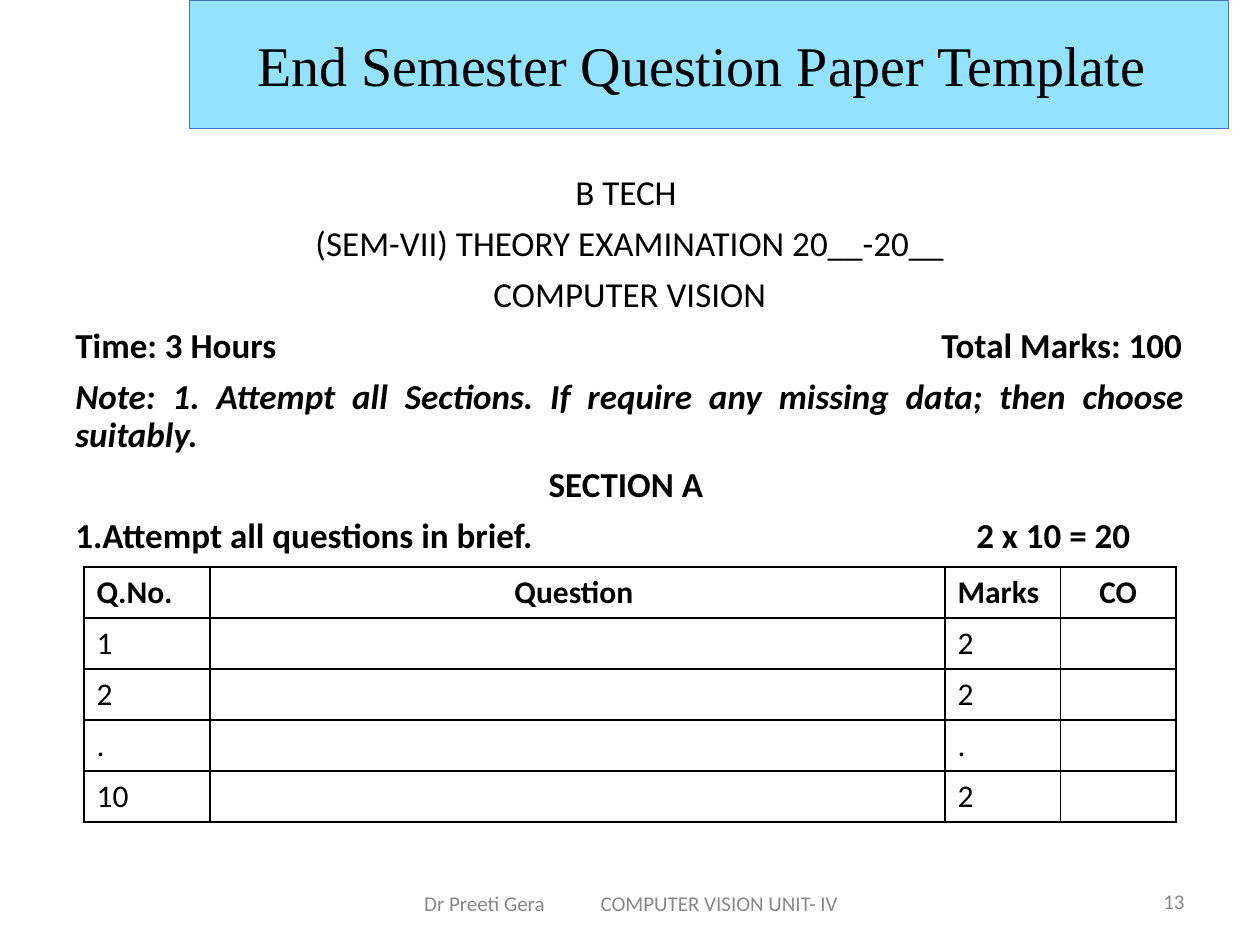
import pptx
import pptx.util
import pptx.dml.color
import pptx.enum.shapes
import pptx.enum.text
import pptx.oxml
import pptx.oxml.ns

RGBColor = pptx.dml.color.RGBColor
ALIGN = pptx.enum.text.PP_ALIGN
MIDDLE = pptx.enum.text.MSO_ANCHOR.MIDDLE
BLACK = RGBColor(0x00, 0x00, 0x00)
WHITE = RGBColor(0xFF, 0xFF, 0xFF)
GREY = RGBColor(0x88, 0x88, 0x88)
SKY = RGBColor(0x93, 0xE2, 0xFF)
BLUE = RGBColor(0x44, 0x72, 0xC4)

COLUMNS, ROWS = 120, 90
NAMESPACE = pptx.oxml.ns.nsdecls("a")


class QuestionPaper:
    body = {"name": "Calibri", "size": pptx.util.Pt(20)}
    cell = {"name": "Calibri", "size": pptx.util.Pt(18)}
    footer = {"name": "Calibri", "size": pptx.util.Pt(12)}
    heading = {"name": "Times New Roman", "size": pptx.util.Pt(32)}

    def __init__(self, presentation):
        self.slide = presentation.slides.add_slide(presentation.slide_layouts[6])
        self.column = presentation.slide_width / COLUMNS
        self.row = presentation.slide_height / ROWS

    def place(self, left, top, width, height):
        return (round(left * self.column), round(top * self.row),
                round(width * self.column), round(height * self.row))

    def add_text(self, paragraph, text, style, color=BLACK, align=ALIGN.LEFT, tab=None, numbered=False):
        paragraph.alignment = align
        properties = paragraph._p.get_or_add_pPr()
        if numbered:
            hang = round(2.5 * self.column)
            properties.set("marL", str(hang))
            properties.set("indent", str(-hang))
            properties.append(pptx.oxml.parse_xml(f'<a:buAutoNum {NAMESPACE} type="arabicPeriod"/>'))
        if tab:
            position, side = tab
            properties.append(pptx.oxml.parse_xml(
                f'<a:tabLst {NAMESPACE}><a:tab pos="{round(position * self.column)}" algn="{side}"/></a:tabLst>'))
        run = paragraph.add_run()
        run.text = text
        for attribute, value in style.items():
            setattr(run.font, attribute, value)
        run.font.color.rgb = color

    def text_box(self, area, **frame_format):
        frame = self.slide.shapes.add_textbox(*self.place(*area)).text_frame
        for attribute, value in {"word_wrap": True, **frame_format}.items():
            setattr(frame, attribute, value)
        return frame

    def banner(self, area, text):
        banner = self.slide.shapes.add_shape(
            pptx.enum.shapes.MSO_SHAPE.RECTANGLE, *self.place(*area))
        banner.shadow.inherit = False
        banner.fill.solid()
        banner.fill.fore_color.rgb = SKY
        banner.line.color.rgb = BLUE
        banner.line.width = pptx.util.Pt(0.5)
        banner.text_frame.vertical_anchor = MIDDLE
        self.add_text(banner.text_frame.paragraphs[0], text, self.heading, align=ALIGN.CENTER)

    def instructions(self, area, lines):
        frame = self.text_box(area)
        for index, (text, emphasis, layout) in enumerate(lines):
            paragraph = frame.add_paragraph() if index else frame.paragraphs[0]
            self.add_text(paragraph, text, {**self.body, **emphasis}, **layout)
            paragraph.line_spacing = 0.9
            if index:
                paragraph.space_before = pptx.util.Pt(7.5)

    def footer_text(self, area, text, inset=1.2, **layout):
        frame = self.text_box(area, vertical_anchor=MIDDLE, margin_left=round(inset * self.column))
        self.add_text(frame.paragraphs[0], text, self.footer, GREY, **layout)

    def border(self, cell):
        properties = cell._tc.get_or_add_tcPr()
        for index, side in enumerate(("lnL", "lnR", "lnT", "lnB")):
            properties.insert(index, pptx.oxml.parse_xml(
                f'<a:{side} {NAMESPACE} w="{pptx.util.Pt(1)}"><a:solidFill>'
                f'<a:srgbClr val="{BLACK}"/></a:solidFill></a:{side}>'))

    def question_table(self, area, widths, records):
        table = self.slide.shapes.add_table(len(records), len(widths), *self.place(*area)).table
        for column, width in zip(table.columns, widths):
            column.width = round(width * self.column)
        for row_index, record in enumerate(records):
            for column_index, text in enumerate(record):
                cell = table.cell(row_index, column_index)
                cell.fill.solid()
                cell.fill.fore_color.rgb = WHITE
                self.border(cell)
                if text:
                    self.add_text(cell.text_frame.paragraphs[0], text,
                                  {**self.cell, "bold": row_index == 0},
                                  align=ALIGN.CENTER if column_index % 2 else ALIGN.LEFT)


def main():
    presentation = pptx.Presentation()
    presentation.slide_width = pptx.util.Inches(10)
    presentation.slide_height = pptx.util.Inches(7.5)
    paper = QuestionPaper(presentation)

    centered = {"align": ALIGN.CENTER}
    bold = {"bold": True}
    paper.instructions((6, 16.1, 108, 62.4), [
        ("B TECH ", {}, centered),
        ("(SEM-VII) THEORY EXAMINATION 20__-20__", {}, centered),
        ("COMPUTER VISION", {}, centered),
        ("Time: 3 Hours\tTotal Marks: 100", bold, {"tab": (105.4, "r")}),
        ("Note: 1. Attempt all Sections. If require any missing data; then choose suitably.",
         {"bold": True, "italic": True}, {"align": ALIGN.JUSTIFY}),
        ("SECTION A ", bold, centered),
        ("Attempt all questions in brief.\t2 x 10 = 20", bold,
         {"tab": (85.8, "l"), "numbered": True}),
    ])
    paper.footer_text((30.8, 83.8, 59.2, 4.4), "Dr Preeti Gera\tCOMPUTER VISION UNIT- IV",
                      inset=9.6, tab=(16.8, "l"))
    paper.footer_text((86, 83.4, 28, 4.8), "13", align=ALIGN.RIGHT)
    paper.banner((18, 0, 99, 12.2), "End Semester Question Paper Template ")

    marks = {"1": "2", "2": "2", ".": ".", "10": "2"}
    paper.question_table((8, 54, 104, 24.3), (12, 70, 11, 11), [
        ("Q.No.", "Question ", "Marks", "CO"),
        *((number, "", mark, "") for number, mark in marks.items()),
    ])
    presentation.save("out.pptx")


if __name__ == "__main__":
    main()
